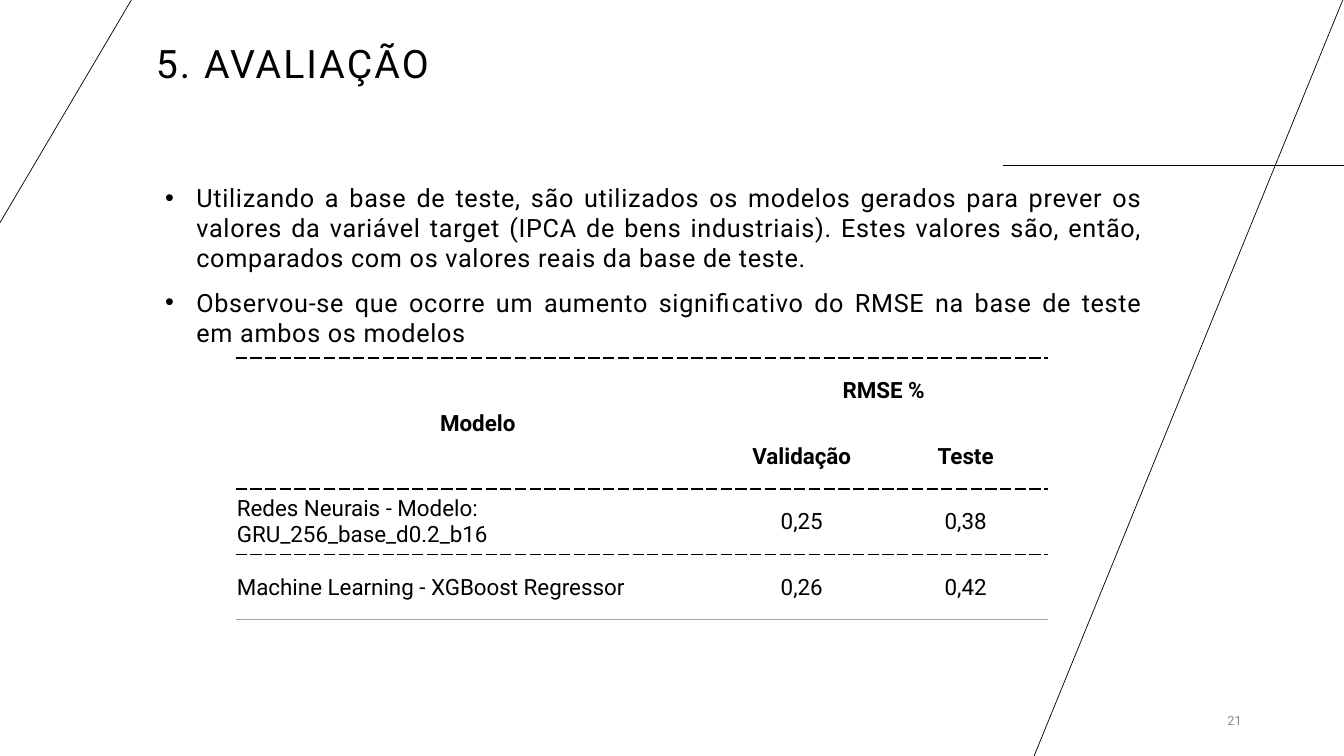
from dataclasses import dataclass

from lxml.etree import SubElement
from pptx import Presentation
from pptx.dml.color import RGBColor
from pptx.enum.text import MSO_ANCHOR as Anchor, PP_ALIGN as Align
from pptx.oxml.ns import qn
from pptx.util import Cm, Pt


@dataclass(frozen=True)
class Theme:
    font: str = "Roboto"
    ink: str = "000000"
    muted: str = "8C8C8C"
    table_end: str = "A5A5A5"
    title_size: float = 28
    body_size: float = 18
    table_size: float = 16
    number_size: float = 9
    hairline: float = 0.5
    rule: float = 1


@dataclass(frozen=True)
class Box:
    """A region of the slide, in centimetres."""
    left: float
    top: float
    width: float
    height: float

    def lengths(self):
        return Cm(self.left), Cm(self.top), Cm(self.width), Cm(self.height)


THEME = Theme()
SLIDE = Box(0, 0, 33.87, 19.05)
BULLETS = [
    "Utilizando a base de teste, são utilizados os modelos gerados para prever os "
    "valores da variável target (IPCA de bens industriais). Estes valores são, então, "
    "comparados com os valores reais da base de teste.",
    "Observou-se que ocorre um aumento significativo do RMSE na base de teste "
    "em ambos os modelos",
]
RESULTS = [
    ["Modelo", "RMSE %", ""],
    ["", "Validação", "Teste"],
    ["Redes Neurais - Modelo: GRU_256_base_d0.2_b16", "0,25", "0,38"],
    ["Machine Learning - XGBoost Regressor", "0,26", "0,42"],
]
HEADER_ROWS = 2


def write(paragraph, text, size, color=THEME.ink, bold=False, align=Align.LEFT, tracking=0):
    """Add one formatted run; tracking is the letter spacing in points."""
    paragraph.alignment = align
    run = paragraph.add_run()
    run.text = text
    run.font.name = THEME.font
    run.font.size = Pt(size)
    run.font.bold = bold
    run.font.color.rgb = RGBColor.from_string(color)
    if tracking:
        run.font._element.set("spc", str(round(tracking * 100)))


def add_frame(slide, box, anchor=Anchor.TOP):
    frame = slide.shapes.add_textbox(*box.lengths()).text_frame
    frame.word_wrap = True
    frame.vertical_anchor = anchor
    return frame


def add_decoration(slide, box):
    right, bottom = box.left + box.width, box.top + box.height
    for x1, y1, x2, y2 in [
        (right - 8.6, box.top + 4.17, right, box.top + 4.17),
        (right - 0.03, box.top, right - 7.81, bottom),
        (box.left, box.top + 5.61, box.left + 3.31, box.top),
    ]:
        line = slide.shapes.add_connector(1, Cm(x1), Cm(y1), Cm(x2), Cm(y2))
        line.line.color.rgb = RGBColor.from_string(THEME.ink)
        line.line.width = Pt(THEME.hairline)
        SubElement(line._element.spPr, qn("a:effectLst"))


def add_title(slide, box):
    paragraph = add_frame(slide, box, Anchor.BOTTOM).paragraphs[0]
    paragraph.line_spacing = 0.9
    write(paragraph, "5. AVALIAÇÃO", THEME.title_size, tracking=1.5)


def add_bullets(slide, box):
    frame = add_frame(slide, box)
    for index, text in enumerate(BULLETS):
        paragraph = frame.add_paragraph() if index else frame.paragraphs[0]
        paragraph.space_before = Pt(10)
        write(paragraph, text, THEME.body_size, align=Align.JUSTIFY, tracking=0.5)
        properties = paragraph._p.get_or_add_pPr()
        indent = Cm(0.79)
        properties.set("marL", str(indent))
        properties.set("indent", str(-indent))
        SubElement(properties, qn("a:buFont"), typeface="Arial")
        SubElement(properties, qn("a:buChar"), char="•")


def set_borders(cell, top=None, bottom=None):
    """Draw the given (colour, dash) edges and clear the other ones."""
    properties = cell._tc.get_or_add_tcPr()
    for tag, edge in [("a:lnL", None), ("a:lnR", None), ("a:lnT", top), ("a:lnB", bottom)]:
        line = SubElement(properties, qn(tag), w=str(Pt(THEME.rule)))
        if edge is None:
            SubElement(line, qn("a:noFill"))
            continue
        color, dash = edge
        SubElement(SubElement(line, qn("a:solidFill")), qn("a:srgbClr"), val=color)
        SubElement(line, qn("a:prstDash"), val=dash)


def add_results(slide, box):
    table = slide.shapes.add_table(len(RESULTS), len(RESULTS[0]), *box.lengths()).table
    table.first_row = table.horz_banding = False
    for column, share in zip(table.columns, (0.596, 0.202, 0.202)):
        column.width = Cm(round(box.width * share, 2))
    for row in table.rows:
        row.height = Cm(box.height / len(RESULTS))

    dashed, closing = (THEME.ink, "sysDash"), (THEME.table_end, "solid")
    edges = [dashed, None, dashed, dashed, closing]
    for r, texts in enumerate(RESULTS):
        for c, text in enumerate(texts):
            cell = table.cell(r, c)
            set_borders(cell, top=edges[r], bottom=edges[r + 1])
            cell.fill.background()
            cell.vertical_anchor = Anchor.MIDDLE
            cell.margin_left = cell.margin_right = cell.margin_top = Cm(0.03)
            cell.margin_bottom = 0
            header = r < HEADER_ROWS
            if text:
                write(cell.text_frame.paragraphs[0], text, THEME.table_size, bold=header,
                      align=Align.CENTER if header or c else Align.LEFT)
    table.cell(0, 0).merge(table.cell(1, 0))
    table.cell(0, 1).merge(table.cell(0, 2))


def add_page_number(slide, box):
    paragraph = add_frame(slide, box, Anchor.MIDDLE).paragraphs[0]
    write(paragraph, "21", THEME.number_size, color=THEME.muted, align=Align.RIGHT)


def main():
    deck = Presentation()
    deck.slide_width, deck.slide_height = Cm(SLIDE.width), Cm(SLIDE.height)
    slide = deck.slides.add_slide(deck.slide_layouts[6])
    add_decoration(slide, SLIDE)
    add_page_number(slide, Box(28.8, 17.65, 2.74, 1.02))
    add_title(slide, Box(3.68, 0.28, 20.24, 2.03))
    add_bullets(slide, Box(3.91, 4.47, 25.15, 13.18))
    add_results(slide, Box(5.94, 9.02, 20.47, 6.6))
    deck.save("out.pptx")


if __name__ == "__main__":
    main()
